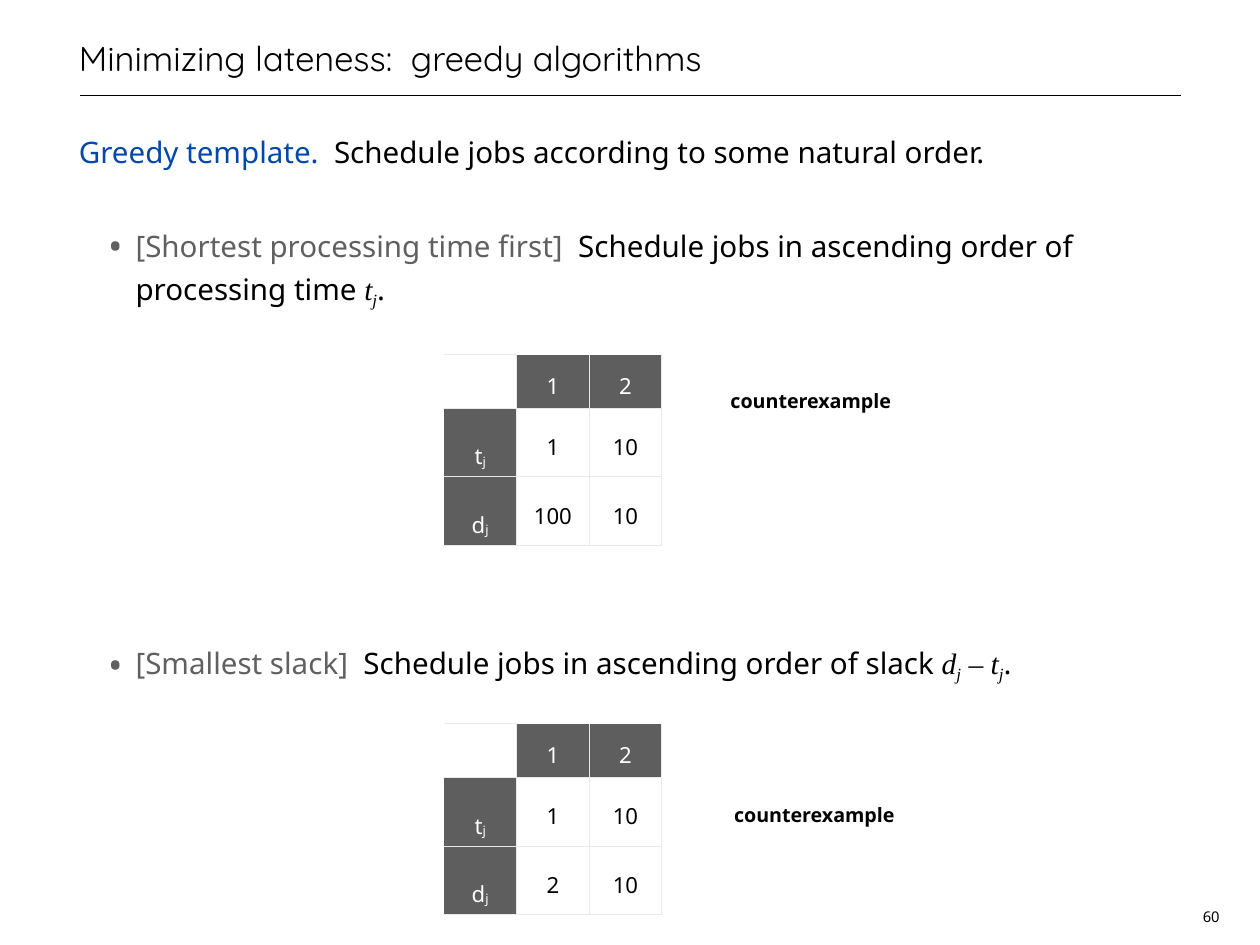
from lxml.etree import SubElement
from pptx import Presentation
from pptx.dml.color import RGBColor
from pptx.enum.shapes import MSO_CONNECTOR
from pptx.enum.text import MSO_ANCHOR, MSO_AUTO_SIZE, PP_ALIGN
from pptx.oxml.ns import qn
from pptx.util import Inches, Pt

COLORS = {"black": "000000", "blue": "0048AA", "gray": "606060",
          "header": "5E5E5E", "white": "FFFFFF", "border": "E7EAEB"}
BODY_FONT, MATH_FONT, TITLE_FONT = "Noto Sans", "Times New Roman", "Quicksand"
LINE = Pt(38)


class SlideBuilder:
    """Holds the slide style and adds each kind of element to the page."""

    def __init__(self, page):
        self.page = page

    def color(self, name):
        return RGBColor.from_string(COLORS[name])

    def style(self, para, size, color="black", font=BODY_FONT, bold=False,
              spacing=1.3, align=PP_ALIGN.CENTER):
        para.alignment = align
        para.line_spacing = spacing
        para.font.name = font
        para.font.size = Pt(size)
        para.font.bold = bold
        para.font.color.rgb = self.color(color)

    def frame(self, box, inset=0, anchor=MSO_ANCHOR.TOP, wrap=True, grow=False):
        frame = box.text_frame
        frame.margin_left = frame.margin_right = Inches(inset)
        frame.margin_top = frame.margin_bottom = Inches(inset)
        frame.vertical_anchor = anchor
        frame.word_wrap = wrap
        frame.auto_size = MSO_AUTO_SIZE.SHAPE_TO_FIT_TEXT if grow else MSO_AUTO_SIZE.NONE
        return frame

    def title(self, text, left, top, width, height):
        box = self.page.shapes.title
        box.left, box.top = Inches(left), Inches(top)
        box.width, box.height = Inches(width), Inches(height)
        frame = self.frame(box, anchor=MSO_ANCHOR.BOTTOM)
        frame.text = text
        self.style(frame.paragraphs[0], 28, font=TITLE_FONT, spacing=LINE,
                   align=PP_ALIGN.LEFT)

    def rule(self, left, right, top):
        line = self.page.shapes.add_connector(
            MSO_CONNECTOR.STRAIGHT, Inches(left), Inches(top), Inches(right), Inches(top))
        line.line.color.rgb = self.color("black")
        line.line.width = Pt(1)
        SubElement(line._element.spPr, qn("a:effectLst"))

    def text_box(self, left, top, width, height):
        return self.page.shapes.add_textbox(
            Inches(left), Inches(top), Inches(width), Inches(height))

    def label(self, text, left, top, width, height, size, inset=0, **style):
        frame = self.frame(self.text_box(left, top, width, height), inset,
                           wrap=False, grow=True)
        frame.text = text
        self.style(frame.paragraphs[0], size, **style)

    def spans(self, para, pieces):
        for text, look in pieces:
            span = para.add_run()
            span.text = text
            if "color" in look:
                span.font.color.rgb = self.color(look["color"])
            if "font" in look:
                span.font.name = look["font"]
            if "italic" in look:
                span.font.italic = look["italic"]
            if "baseline" in look:
                span.font._element.set("baseline", str(look["baseline"] * 1000))

    def bullet(self, para):
        props = para._p.get_or_add_pPr()
        props.set("marL", str(Inches(0.64)))
        props.set("indent", str(Inches(-0.31)))
        color = SubElement(props, qn("a:buClr"))
        SubElement(color, qn("a:srgbClr"), val=COLORS["gray"])
        SubElement(props, qn("a:buSzPct"), val="130000")
        SubElement(props, qn("a:buFont"), typeface=BODY_FONT)
        SubElement(props, qn("a:buChar"), char="•")

    def body(self, entries, left, top, width, height):
        frame = self.frame(self.text_box(left, top, width, height))
        for index, (bulleted, gap_lines, pieces) in enumerate(entries):
            para = frame.add_paragraph() if index else frame.paragraphs[0]
            if bulleted:
                self.bullet(para)
            if gap_lines:
                para.space_before = LINE * gap_lines
            self.style(para, 24, spacing=LINE, align=PP_ALIGN.LEFT)
            self.spans(para, pieces)

    def borders(self, cell, edges):
        props = cell._tc.get_or_add_tcPr()
        for edge in edges:
            line = SubElement(props, qn(f"a:ln{edge}"), w=str(Pt(1)))
            fill = SubElement(line, qn("a:solidFill"))
            SubElement(fill, qn("a:srgbClr"), val=COLORS["border"])

    def job_table(self, rows, left, top, side=0.82, row_height=0.61):
        count = len(rows)
        table = self.page.shapes.add_table(
            count, count, Inches(left), Inches(top),
            Inches(side * count), Inches(row_height * count)).table
        table.first_row = table.horz_banding = False
        for line in table.rows:
            line.height = Inches(row_height)
        for row, values in enumerate(rows):
            for column, value in enumerate(values):
                cell = table.cell(row, column)
                corner = row == column == 0
                header = row == 0 or column == 0
                edges = (["L"] if column else []) + ["R"]
                edges += (["T"] if row or corner else []) + ["B"]
                self.borders(cell, edges)
                if corner:
                    cell.fill.background()
                    continue
                cell.fill.solid()
                cell.fill.fore_color.rgb = self.color("header" if header else "white")
                cell.vertical_anchor = MSO_ANCHOR.MIDDLE
                cell.margin_left = cell.margin_right = Inches(0.06)
                cell.margin_top = cell.margin_bottom = Inches(0.06)
                para = cell.text_frame.paragraphs[0]
                self.style(para, 18, "white" if header else "black",
                           spacing=1.3 if column else Pt(47))
                pieces = [(value, {})]
                if column == 0:
                    pieces.append(("j", {"baseline": -6}))
                self.spans(para, pieces)


def main():
    deck = Presentation()
    deck.slide_width, deck.slide_height = Inches(14.22), Inches(10.67)
    slide = SlideBuilder(deck.slides.add_slide(deck.slide_layouts[5]))

    gray = {"color": "gray"}
    math = {"font": MATH_FONT, "italic": True}
    subscript = {**math, "baseline": -20}
    slide.rule(0.9, 13.33, 1.08)
    slide.title("Minimizing lateness:  greedy algorithms", 0.89, 0, 12.44, 0.89)
    slide.body([
        (False, 0, [("Greedy template.  ", {"color": "blue"}),
                    ("Schedule jobs according to some natural order.", {})]),
        (True, 1, [("[Shortest processing time first]", gray),
                   ("  Schedule jobs in ascending order of processing time ", {}),
                   ("t", math), ("j", subscript), (".", {})]),
        (True, 7, [("[Smallest slack]", gray),
                   ("  Schedule jobs in ascending order of slack ", {}),
                   ("d", math), ("j", subscript), (" – ", {"font": MATH_FONT}),
                   ("t", math), ("j", subscript), (".", {})]),
    ], 0.89, 1.39, 12.44, 8.94)
    slide.label("60", 13.42, 10.22, 0.5, 0.24, 12, inset=0.04, spacing=Pt(14))

    for table_top, label_left, label_top, first_due in (
            (4, 8.23, 4.31, "100"), (8.17, 8.27, 8.98, "2")):
        slide.label("counterexample", label_left, label_top, 1.84, 0.25, 16, bold=True)
        slide.job_table([["", "1", "2"], ["t", "1", "10"], ["d", first_due, "10"]],
                        5.01, table_top)
    deck.save("out.pptx")


if __name__ == "__main__":
    main()
